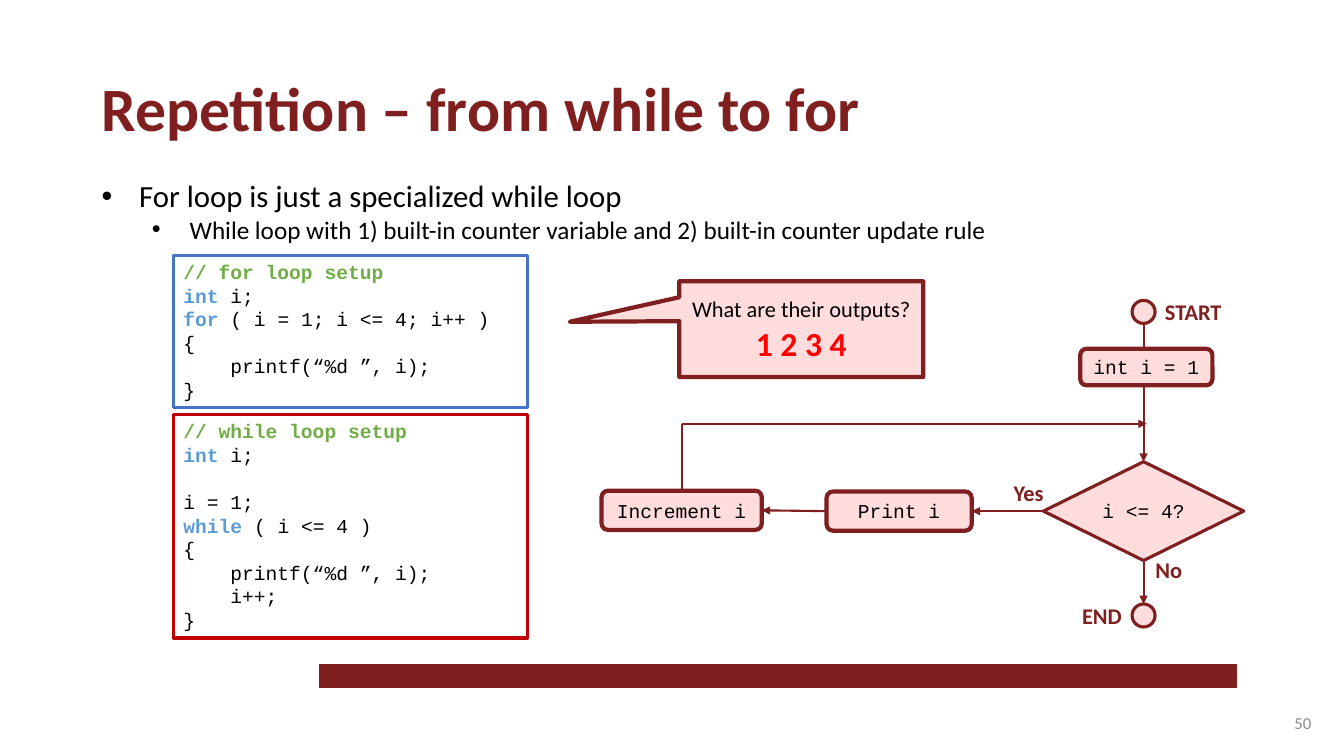
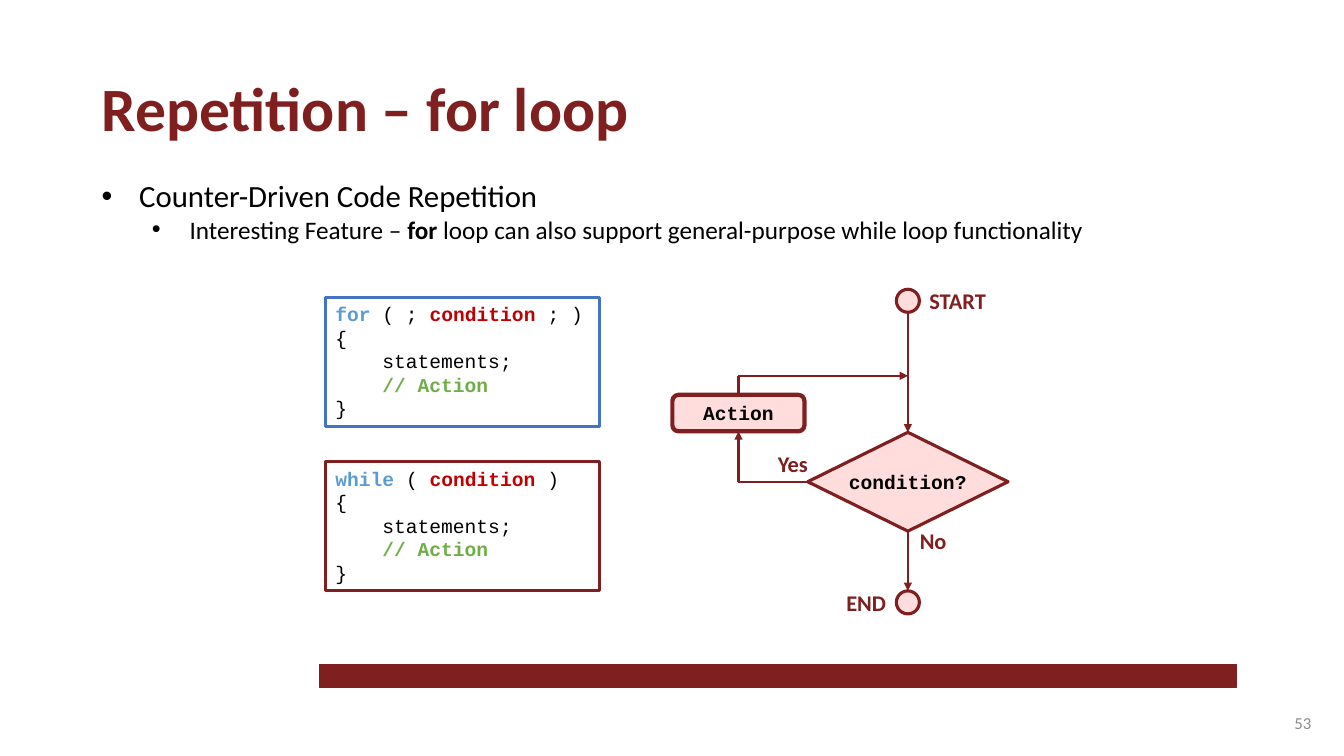
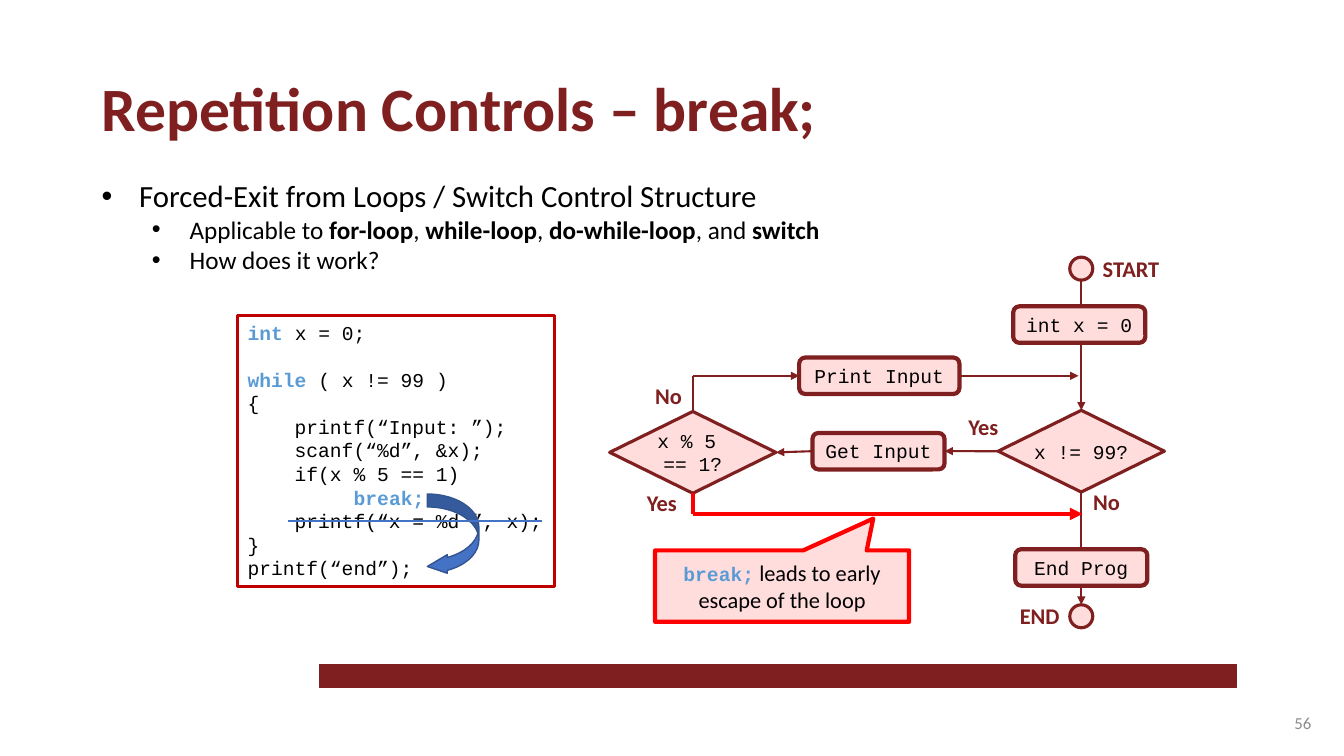
from lxml.etree import SubElement
from pptx import Presentation
from pptx.dml.color import RGBColor
from pptx.enum.shapes import MSO_CONNECTOR, MSO_SHAPE as SHAPE
from pptx.enum.text import MSO_ANCHOR as ANCHOR, PP_ALIGN as ALIGN
from pptx.oxml.ns import qn
from pptx.util import Cm, Pt

SANS, MONO = "Calibri", "Courier New"
MAROON, PINK, RED, CRIMSON = "7F1F1F", "FFDDDD", "FF0000", "C00000"
BLUE, NAVY, WHITE, BLACK = "4472C4", "325491", "FFFFFF", "000000"
SKY, GREEN, GREY = "5B9BD5", "70AD47", "8C8C8C"

STYLES = {
    "title": (SANS, 44, MAROON, True),
    "topic": (SANS, 22, BLACK, False),
    "detail": (SANS, 18, BLACK, False),
    "strong": (SANS, 18, BLACK, True),
    "page": (SANS, 12, GREY, False),
    "label": (SANS, 16, MAROON, True),
    "note": (SANS, 16, BLACK, False),
    "answer": (SANS, 24, RED, True),
    "code": (MONO, 14, BLACK, False),
    "test": (MONO, 14, BLACK, True),
    "keyword": (MONO, 14, SKY, True),
    "comment": (MONO, 14, GREEN, True),
    "condition": (MONO, 14, CRIMSON, True),
}
TOP, LEFT, BOTTOM, RIGHT = range(4)
CIRCLE, BOX_HEIGHT, LABEL_HEIGHT, CODE_GAP = 0.58, 0.92, 0.94, 17
INDENT, DETAIL_MARGIN = 0.95, 2.22
LOOP_BODY = ["{", "    statements;", [("    // Action", "comment")], "}"]

SLIDES = [
    {
        "title": ("Repetition – from while to for", 19.81),
        "page": "50",
        "topic": "For loop is just a specialized while loop",
        "details": ["While loop with 1) built-in counter variable and 2) built-in counter update rule"],
        "body": (29.24, 3.51),
        "codes": [
            ((4.37, 10.44, 8.92, 5.64), CRIMSON, [
                [("// while loop setup", "comment")],
                [("int ", "keyword"), ("i;", "code")],
                "",
                "i = 1;",
                [("while ", "keyword"), ("( i <= 4 )", "code")],
                "{",
                "    printf(“%d ”, i);",
                "    i++;",
                "}",
            ]),
            ((4.37, 6.43, 8.92, 3.84), BLUE, [
                [("// for loop setup", "comment")],
                [("int ", "keyword"), ("i;", "code")],
                [("for ", "keyword"), ("( i = 1; i <= 4; i++ )", "code")],
                "{",
                "    printf(“%d ”, i);",
                "}",
            ]),
        ],
        "flow": {"x": 28.82, "start": 7.86, "test": 12.88, "end": 15.51,
                 "size": (5.05, 2.49), "yes_top": 11.96, "text": ("i <= 4?", "code")},
        "nodes": [
            (SHAPE.ROUNDED_RECTANGLE, "int i = 1", "code", 28.89, 9.25, 3.33, BOX_HEIGHT),
            (SHAPE.ROUNDED_RECTANGLE, "Print i", "code", 22.66, 12.88, 3.66, 0.99),
            (SHAPE.ROUNDED_RECTANGLE, "Increment i", "code", 17.18, 12.86, 4.04, 0.99),
        ],
        "lines": [
            (("test", LEFT), ("Print i", RIGHT), True, MAROON, 1.5),
            (("Print i", LEFT), ("Increment i", RIGHT), True, MAROON, 1.5),
            (("Increment i", TOP), (17.18, 10.68), False, MAROON, 1.5),
            ((17.18, 10.68), (28.9, 10.68), True, MAROON, 1.5),
        ],
        "labels": [],
        "callout": ((17.12, 7.09, 6.15, 2.41), (-0.949, -0.077), MAROON,
                    [[("What are their outputs?", "note")], [("1 2 3 4", "answer")]]),
    },
    {
        "title": ("Repetition – for loop", 13.94),
        "page": "53",
        "topic": "Counter-Driven Code Repetition",
        "details": [[("Interesting Feature – ", "detail"), ("for", "strong"),
                     (" loop can also support general-purpose while loop functionality", "detail")]],
        "body": (29.24, 3.51),
        "codes": [
            ((8.2, 7.49, 6.91, 3.25), BLUE, [
                [("for ", "keyword"), ("( ; ", "code"), ("condition", "condition"), (" ; )", "code")],
                *LOOP_BODY]),
            ((8.2, 11.63, 6.91, 3.25), MAROON, [
                [("while ", "keyword"), ("( ", "code"), ("condition", "condition"), (" )", "code")],
                *LOOP_BODY]),
        ],
        "flow": {"x": 22.88, "start": 7.58, "test": 12.14, "end": 15.18,
                 "size": (5.05, 2.49), "yes_top": 11.23, "text": ("condition?", "test")},
        "nodes": [(SHAPE.ROUNDED_RECTANGLE, "Action", "test", 18.61, 10.41, 3.33, BOX_HEIGHT)],
        "lines": [
            (("test", LEFT), (18.61, 12.14), False, MAROON, 1.5),
            ((18.61, 12.14), ("Action", BOTTOM), True, MAROON, 1.5),
            (("Action", TOP), (18.61, 9.47), False, MAROON, 1.5),
            ((18.61, 9.47), (22.88, 9.47), True, MAROON, 1.5),
        ],
        "labels": [],
    },
    {
        "title": ("Repetition Controls – break;", 18.72),
        "page": "56",
        "topic": "Forced-Exit from Loops / Switch Control Structure",
        "details": [
            [("Applicable to ", "detail"), ("for-loop", "strong"), (", ", "detail"),
             ("while-loop", "strong"), (", ", "detail"), ("do-while-loop", "strong"),
             (", and ", "detail"), ("switch", "strong")],
            "How does it work?",
        ],
        "body": (21.26, 4.27),
        "codes": [
            ((5.99, 7.95, 7.98, 6.83), CRIMSON, [
                [("int ", "keyword"), ("x = 0;", "code")],
                "",
                [("while ", "keyword"), ("( x != 99 )", "code")],
                "{",
                "    printf(“Input: ”);",
                "    scanf(“%d”, &x);",
                "    if(x % 5 == 1)",
                [("         ", "code"), ("break;", "keyword")],
                "    printf(“x = %d ”, x);",
                "}",
                "printf(“end”);",
            ]),
        ],
        "flow": {"x": 27.25, "start": 6.77, "test": 11.37, "end": 15.53,
                 "size": (4.19, 2.06), "yes_top": 10.29, "text": ("x != 99?", "code")},
        "nodes": [
            (SHAPE.ROUNDED_RECTANGLE, "int x = 0", "code", 27.2, 8.18, 3.33, BOX_HEIGHT),
            (SHAPE.ROUNDED_RECTANGLE, "Get Input", "code", 22.14, 11.37, 3.33, BOX_HEIGHT),
            (SHAPE.ROUNDED_RECTANGLE, "Print Input", "code", 22.16, 9.47, 4.04, BOX_HEIGHT),
            (SHAPE.ROUNDED_RECTANGLE, "End Prog", "code", 27.25, 14.3, 3.33, BOX_HEIGHT),
            (SHAPE.DIAMOND, "x % 5 \n== 1?", "code", 17.46, 11.4, 4.19, 2.06),
        ],
        "lines": [
            (("test", LEFT), ("Get Input", RIGHT), True, MAROON, 1.5),
            (("Get Input", LEFT), ("x % 5 \n== 1?", RIGHT), True, MAROON, 1.5),
            (("x % 5 \n== 1?", TOP), (17.46, 9.47), False, MAROON, 1.5),
            ((17.46, 9.47), ("Print Input", LEFT), True, MAROON, 1.5),
            (("Print Input", RIGHT), (27.18, 9.47), True, MAROON, 1.5),
            (("x % 5 \n== 1?", BOTTOM), (17.46, 12.95), False, RED, 3),
            ((17.46, 12.95), (27.28, 12.95), True, RED, 3),
        ],
        "labels": [("Yes", 16.05, 12.19), ("No", 16.26, 9.5)],
        "callout": ((16.51, 13.87, 6.4, 1.8), (0.359, -0.945), RED,
                    [[("break;", "keyword"), (" leads to early escape of the loop", "note")]]),
        "jump": (10.77, 12.45, 1.3, 2.06),
        "strike": ((7.26, 13.13), (13.67, 13.13)),
    },
]


def color(value):
    return RGBColor.from_string(value)


def format_run(run, style):
    name, size, value, bold = STYLES[style]
    run.font.name, run.font.size, run.font.bold = name, Pt(size), bold
    run.font.color.rgb = color(value)


def write(text_frame, lines, style, align=ALIGN.LEFT):
    """Write lines of styled runs; an empty line becomes space before the next one."""
    paragraph, gap = text_frame.paragraphs[0], 0
    for index, line in enumerate(lines):
        if not line:
            gap = CODE_GAP
            continue
        if index:
            paragraph = text_frame.add_paragraph()
        paragraph.alignment = align
        if gap:
            paragraph.space_before, gap = Pt(gap), 0
        if isinstance(line, str):
            paragraph.text = line
            for run in paragraph.runs:
                format_run(run, style)
        else:
            for text, run_style in line:
                run = paragraph.add_run()
                run.text = text
                format_run(run, run_style)


def add_text(slide, area, lines, style, align=ALIGN.LEFT, anchor=ANCHOR.TOP, wrap=True):
    text_frame = slide.shapes.add_textbox(*map(Cm, area)).text_frame
    text_frame.word_wrap, text_frame.vertical_anchor = wrap, anchor
    write(text_frame, lines, style, align)
    return text_frame


def add_shape(slide, kind, area, fill, line, width):
    shape = slide.shapes.add_shape(kind, *map(Cm, area))
    shape.shadow.inherit = False
    shape.fill.solid()
    shape.fill.fore_color.rgb = color(fill)
    shape.line.color.rgb = color(line)
    shape.line.width = Pt(width)
    return shape


def add_node(slide, kind, text, style, x, y, width, height):
    line = 3 if kind == SHAPE.ROUNDED_RECTANGLE else 2.25
    area = (x - width / 2, y - height / 2, width, height)
    shape = add_shape(slide, kind, area, PINK, MAROON, line)
    if text:
        shape.text_frame.word_wrap = False
        shape.text_frame.vertical_anchor = ANCHOR.MIDDLE
        write(shape.text_frame, [text], style, ALIGN.CENTER)
    return shape


def add_line(slide, nodes, begin, end, arrow, line_color, width):
    ends = [(0, 0) if isinstance(point[0], str) else point for point in (begin, end)]
    line = slide.shapes.add_connector(MSO_CONNECTOR.STRAIGHT, *(Cm(v) for point in ends for v in point))
    for point, connect in ((begin, line.begin_connect), (end, line.end_connect)):
        if isinstance(point[0], str):
            connect(nodes[point[0]], point[1])
    line.line.color.rgb = color(line_color)
    line.line.width = Pt(width)
    if arrow:
        SubElement(line.line._get_or_add_ln(), qn("a:tailEnd"), type="triangle")
    SubElement(line.element.spPr, qn("a:effectLst"))


def add_label(slide, text, left, top):
    add_text(slide, (left, top, 2.92 if len(text) > 3 or text == "END" else 1.5, LABEL_HEIGHT), [text], "label")


def add_frame(slide, content):
    add_shape(slide, SHAPE.RECTANGLE, (8.05, 16.74, 23.11, 0.58), MAROON, MAROON, 1)
    title, width = content["title"]
    add_text(slide, (2.31, 1.63, width, 2.13), [title], "title", wrap=False)
    add_text(slide, (25.68, 17.7, 7.62, 1.02), [content["page"]], "page", ALIGN.RIGHT, ANCHOR.MIDDLE)
    lines = [[(content["topic"], "topic")], *content["details"]]
    body = add_text(slide, (2.31, 4.34, *content["body"]), lines, "detail")
    for index, paragraph in enumerate(body.paragraphs):
        paragraph.level = min(index, 1)
        properties = paragraph._p.get_or_add_pPr()
        properties.set("marL", str(Cm(DETAIL_MARGIN if index else INDENT)))
        properties.set("indent", str(-Cm(INDENT)))
        SubElement(properties, qn("a:buFont"), typeface="Arial")
        SubElement(properties, qn("a:buChar"), char="•")


def add_flow(slide, flow):
    x, (width, height) = flow["x"], flow["size"]
    nodes = {name: add_node(slide, SHAPE.OVAL, "", "code", x, flow[name], CIRCLE, CIRCLE)
             for name in ("start", "end")}
    nodes["test"] = add_node(slide, SHAPE.DIAMOND, *flow["text"], x, flow["test"], width, height)
    add_line(slide, nodes, (x, flow["start"] + CIRCLE / 2), ("test", TOP), True, MAROON, 1.5)
    add_line(slide, nodes, ("test", BOTTOM), ("end", TOP), True, MAROON, 1.5)
    add_label(slide, "START", x + 0.29, flow["start"] - LABEL_HEIGHT / 2)
    add_label(slide, "END", x - 1.8, flow["end"] - LABEL_HEIGHT / 2)
    add_label(slide, "No", x + 0.05, flow["test"] + height / 2 - 0.23)
    add_label(slide, "Yes", x - width / 2 - 1.0, flow["yes_top"])
    return nodes


def add_callout(slide, area, pointer, line, lines):
    shape = add_shape(slide, SHAPE.RECTANGULAR_CALLOUT, area, PINK, line, 3)
    shape.adjustments[0], shape.adjustments[1] = pointer
    shape.text_frame.word_wrap = True
    shape.text_frame.vertical_anchor = ANCHOR.MIDDLE
    write(shape.text_frame, lines, "note", ALIGN.CENTER)


def add_jump(slide, area):
    arrow = add_shape(slide, SHAPE.CURVED_RIGHT_ARROW, area, BLUE, NAVY, 1)
    for index, value in enumerate((0.25, 0.36, 0.387)):
        arrow.adjustments[index] = value
    arrow.element.spPr.find(qn("a:xfrm")).set("flipH", "1")


def build_slide(slide, content):
    add_frame(slide, content)
    for area, line, lines in content["codes"]:
        shape = add_shape(slide, SHAPE.RECTANGLE, area, WHITE, line, 2.25)
        shape.text_frame.word_wrap = True
        shape.text_frame.vertical_anchor = ANCHOR.TOP
        write(shape.text_frame, lines, "code")
    nodes = add_flow(slide, content["flow"])
    for node in content["nodes"]:
        nodes[node[1]] = add_node(slide, *node)
    for line in content["lines"]:
        add_line(slide, nodes, *line)
    for label in content["labels"]:
        add_label(slide, *label)
    if "callout" in content:
        add_callout(slide, *content["callout"])
    if "jump" in content:
        add_jump(slide, content["jump"])
        add_line(slide, nodes, *content["strike"], False, BLUE, 1.5)


def main():
    presentation = Presentation()
    presentation.slide_width, presentation.slide_height = Cm(33.87), Cm(19.05)
    for content in SLIDES:
        build_slide(presentation.slides.add_slide(presentation.slide_layouts[6]), content)
    presentation.save("out.pptx")


if __name__ == "__main__":
    main()
